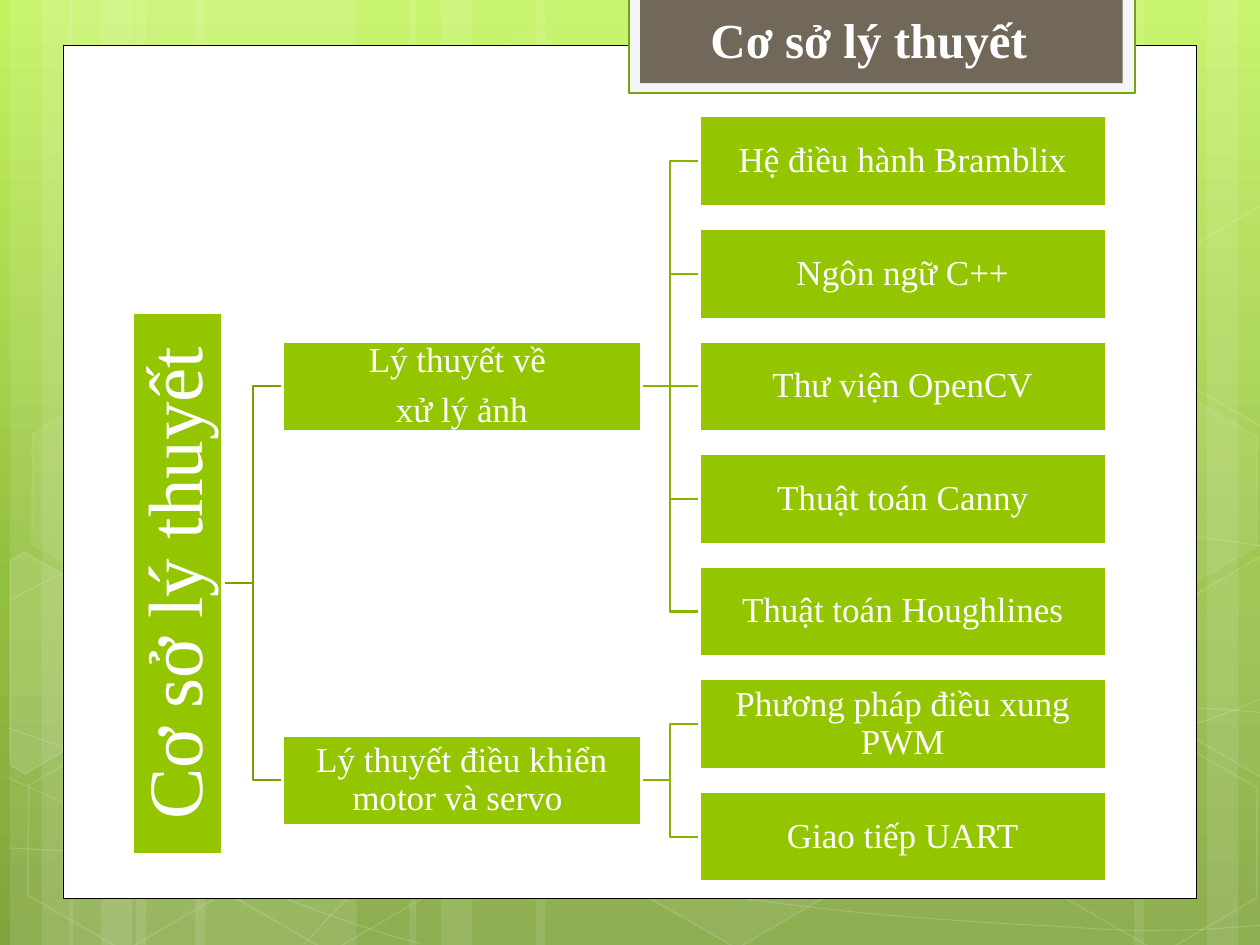
from dataclasses import dataclass
from math import cos, radians, sin
from typing import NamedTuple, Optional

from pptx import Presentation
from pptx import util as u
from pptx.dml.color import RGBColor
from pptx.enum import shapes, text
from pptx.oxml import parse_xml
from pptx.oxml.ns import nsdecls, qn


@dataclass(frozen=True)
class Theme:
    white: str = "FFFFFF"
    black: str = "000000"
    box: str = "94C600"
    trunk: str = "779F00"
    twig: str = "86B400"
    tab: str = "71685A"
    trim: str = "F5F5F5"
    edge: str = "74A510"
    sky: tuple = ((0, "C3F35F"), (62, "93BF3F"), (100, "81A53E"))
    font: str = "Times New Roman"
    small: int = 20
    head: int = 28
    large: int = 44


class Branch(NamedTuple):
    label: str
    leaves: tuple


class Hex(NamedTuple):
    left: float
    top: float
    fill: Optional[int]
    line: int


class Patch(NamedTuple):
    hub: tuple
    points: tuple
    fill: Optional[int]


T = Theme()
RECT = shapes.MSO_SHAPE.RECTANGLE
TILT = 30

# Faint vertical bands: left edge, width
BANDS = ((1.08, 1.75), (0.08, 0.5), (0.33, 0.83), (1.55, 1.75), (0.55, 0.5), (0.8, 0.83),
         (7.33, 1.75), (9.58, 0.5), (9, 0.83), (4.25, 3.08), (3.25, 0.5), (3.5, 0.83))

# Bezier curves: start, then two handles and an end for each piece
CURVES = (
    ((0.07, 6.73), (0.61, 6.76), (1.15, 6.79), (1.9, 6.78), (2.65, 6.77), (3.58, 6.75),
     (4.58, 6.65), (5.58, 6.55), (7, 6.36), (7.92, 6.17), (8.83, 5.98), (9.77, 5.68),
     (10.07, 5.51)),
    ((0.07, 4.77), (0.36, 4.61), (0.65, 4.46), (1.21, 4.31), (1.78, 4.16), (2.59, 3.94),
     (3.47, 3.87), (4.36, 3.8), (5.44, 3.79), (6.54, 3.87), (7.64, 3.95), (9.47, 4.26),
     (10.07, 4.34)),
    ((0.06, 6.17), (1.27, 6.72), (2.47, 7.27), (3.34, 7.49)),
    ((0.07, 5.78), (0.38, 5.89), (0.7, 6), (1.28, 6.16), (1.86, 6.31), (2.73, 6.56),
     (3.57, 6.73), (4.4, 6.9), (5.45, 7.08), (6.28, 7.18), (7.11, 7.29), (8, 7.33),
     (8.53, 7.36), (9.05, 7.4), (9.19, 7.38), (9.45, 7.38), (9.71, 7.37), (9.89, 7.35),
     (10.07, 7.34)),
    ((2.42, 7.49), (2.6, 7.29), (2.78, 7.09), (3.02, 6.91), (3.26, 6.73), (3.6, 6.53),
     (3.88, 6.39), (4.16, 6.25), (4.33, 6.19), (4.7, 6.09), (5.06, 5.99), (5.73, 5.85),
     (6.08, 5.78), (6.44, 5.71), (6.49, 5.71), (6.8, 5.69), (7.11, 5.66), (7.6, 5.63),
     (7.94, 5.62), (8.29, 5.61), (8.86, 5.62), (8.86, 5.62), (9.08, 5.62), (9.31, 5.62),
     (9.53, 5.62), (9.71, 5.63), (9.88, 5.64), (10.06, 5.66)),
)

HEXES = (Hex(3.34, 0.36, 4, 8), Hex(4.97, 5.89, 6, 12), Hex(0.11, 5.91, None, 12),
         Hex(0.14, 3.12, 7, 8), Hex(1.74, 5.92, None, 12), Hex(7.53, 4.53, 10, 12),
         Hex(8.34, 5.93, None, 12), Hex(8.34, 3.14, 7, 8))

# Tilted hexagons cut off by the slide's edge, as they stand after the turn
PATCHES = (
    Patch((0.36, 5.35), ((0.08, 4.45), (0.19, 4.38), (0.96, 4.82), (0.95, 5.7), (0.2, 6.14),
                         (0.08, 6.07)), 10),
    Patch((9.85, 5.2), ((9.26, 4.85), (10.01, 4.41), (10.09, 4.46), (10.09, 6.13),
                        (10.02, 6.17), (9.26, 5.73)), 4),
    Patch((9.85, 2.41), ((9.26, 2.07), (10.01, 1.63), (10.1, 1.68), (10.09, 3.35),
                         (10.02, 3.39), (9.26, 2.95)), None),
)

TITLE = "Cơ sở lý thuyết"
TREE = (
    Branch("Lý thuyết về \nxử lý ảnh",
           ("Hệ điều hành Bramblix", "Ngôn ngữ C++", "Thư viện OpenCV",
            "Thuật toán Canny", "Thuật toán Houghlines")),
    Branch("Lý thuyết điều khiển motor và servo ",
           ("Phương pháp điều xung PWM", "Giao tiếp UART")),
)
TALL, ROOT_H = 0.72, 4.3
FIRST, LAST = 0.92, 6.28
STEP = (LAST - FIRST) / (sum(len(b.leaves) for b in TREE) - 1)


def fade(paint, alpha: int) -> None:
    """Make a solid white fill or line see-through; alpha in percent."""
    paint.solid()
    paint.fore_color.rgb = RGBColor.from_string(T.white)
    tint = paint._xPr.find(qn("a:solidFill"))[0]
    tint.append(parse_xml(f'<a:alpha {nsdecls("a")} val="{alpha * 1000}"/>'))


def ghost(item, fill: Optional[int] = None, line: Optional[int] = None, width: float = 1) -> None:
    item.shadow.inherit = False
    if fill is None:
        item.fill.background()
    else:
        fade(item.fill, fill)
    if line is None:
        item.line.fill.background()
    else:
        item.line.width = u.Pt(width)
        fade(item.line.fill, line)


def block(page, left: float, top: float, wide: float, tall: float, fill: str,
          line: Optional[str] = None, width: float = 1):
    item = page.shapes.add_shape(RECT, *map(u.Inches, (left, top, wide, tall)))
    item.shadow.inherit = False
    item.fill.solid()
    item.fill.fore_color.rgb = RGBColor.from_string(fill)
    if line:
        item.line.color.rgb = RGBColor.from_string(line)
        item.line.width = u.Pt(width)
    else:
        item.line.fill.background()
    return item


def write(item, words: str, *, size: int, bold: bool = False, align=text.PP_ALIGN.CENTER,
          anchor=text.MSO_ANCHOR.MIDDLE, inset: Optional[float] = 0.01,
          lead: float = 0.9, after: float = 0) -> None:
    frame = item.text_frame
    frame.word_wrap = True
    frame.vertical_anchor = anchor
    if inset is not None:
        frame.margin_left = frame.margin_right = u.Inches(inset)
        frame.margin_top = frame.margin_bottom = u.Inches(inset)
    frame.text = words
    for para in frame.paragraphs:
        para.alignment, para.line_spacing, para.space_after = align, lead, u.Pt(after)
        font = para.runs[0].font
        font.name, font.size, font.bold = T.font, u.Pt(size), bold
        font.color.rgb = RGBColor.from_string(T.white)


def trace(page, points, close: bool):
    spots = [(u.Inches(x), u.Inches(y)) for x, y in points]
    path = page.shapes.build_freeform(*spots[0])
    path.add_line_segments(spots[1:], close=close)
    return path.convert_to_shape()


def bend(item) -> None:
    """Turn each three straight pieces into one cubic Bezier piece."""
    legs = list(item.element.iter(qn("a:lnTo")))
    for i in range(0, len(legs), 3):
        curve = parse_xml(f'<a:cubicBezTo {nsdecls("a")}/>')
        legs[i].addprevious(curve)
        for leg in legs[i:i + 3]:
            curve.append(leg[0])
            leg.getparent().remove(leg)


def turn(point: tuple, hub: tuple, angle: float) -> tuple:
    x, y, a = point[0] - hub[0], point[1] - hub[1], radians(angle)
    return hub[0] + x * cos(a) - y * sin(a), hub[1] + x * sin(a) + y * cos(a)


def node(page, left: float, top: float, wide: float, words: str, tall: float = TALL,
         size: int = T.small, after: float = 7):
    item = block(page, left, top, wide, tall, T.box, T.white, 1.75)
    write(item, words, size=size, after=after)
    return item


def join(page, start, end, tint: str, under) -> None:
    """Link right side to left side, keeping the line below the boxes."""
    kind = shapes.MSO_CONNECTOR
    level = abs(start.top + start.height / 2 - end.top - end.height / 2) < u.Inches(0.02)
    wire = page.shapes.add_connector(kind.STRAIGHT if level else kind.ELBOW, 0, 0, 0, 0)
    wire.begin_connect(start, 3)
    wire.end_connect(end, 1)
    wire.line.color.rgb = RGBColor.from_string(tint)
    wire.line.width = u.Pt(1.25)
    wire.element.spPr.append(parse_xml(f'<a:effectLst {nsdecls("a")}/>'))
    under.element.addprevious(wire.element)


def scene(page) -> None:
    # Gradient
    fill = page.background.fill
    fill.gradient()
    fill.gradient_angle = 270
    stops = page.element.find(".//" + qn("a:gsLst"))
    for stop in list(stops):
        stops.remove(stop)
    for pos, tint in T.sky:
        stops.append(parse_xml(f'<a:gs {nsdecls("a")} pos="{pos * 1000}">'
                               f'<a:srgbClr val="{tint}"/></a:gs>'))
    # Bands, curves and hexagons
    for left, wide in BANDS:
        ghost(block(page, left, 0, wide, 7.5, T.white), fill=10)
    for knots in CURVES:
        item = trace(page, knots, False)
        bend(item)
        ghost(item, line=20, width=0.5)
    for cell in HEXES:
        item = page.shapes.add_shape(shapes.MSO_SHAPE.HEXAGON, *map(
            u.Inches, (cell.left, cell.top, 1.75, 1.52)))
        item.adjustments[0] = 0.285
        item.rotation = TILT
        ghost(item, cell.fill, cell.line)
    for patch in PATCHES:
        item = trace(page, [turn(p, patch.hub, -TILT) for p in patch.points], True)
        item.rotation = TILT
        ghost(item, patch.fill, 12)


def chart(page) -> None:
    mid = FIRST + 0.5 * STEP * (len(TREE[0].leaves) - 1)
    low = FIRST + STEP * (len(TREE[0].leaves) + 0.5 * (len(TREE[1].leaves) - 1))
    top = (mid + low + TALL - ROOT_H) / 2
    root = node(page, 1.05, top, TALL, TITLE, tall=ROOT_H, size=T.large, after=0)
    root.text_frame._txBody.bodyPr.set("vert", "vert270")
    row = 0
    for branch, rise in zip(TREE, (mid, low)):
        stem = node(page, 2.24, rise, 2.85, branch.label)
        join(page, root, stem, T.trunk, root)
        for label in branch.leaves:
            leaf = node(page, 5.55, FIRST + row * STEP, 3.23, label)
            join(page, stem, leaf, T.twig, root)
            row += 1


def main() -> None:
    deck = Presentation()
    deck.slide_width, deck.slide_height = u.Inches(10), u.Inches(7.5)
    page = deck.slides.add_slide(deck.slide_layouts[6])
    scene(page)
    # Panel and title tab
    block(page, 0.5, 0.36, 9, 6.77, T.white, T.black, 0.5)
    block(page, 4.99, -0.02, 4.02, 0.76, T.trim, T.edge, 1.25)
    block(page, 5.08, -0.02, 3.83, 0.68, T.tab)
    title = page.shapes.add_textbox(*map(u.Inches, (5.54, 0.17, 3.05, 0.42)))
    write(title, TITLE, size=T.head, bold=True, align=text.PP_ALIGN.LEFT,
          anchor=text.MSO_ANCHOR.BOTTOM, inset=None, lead=1.0)
    chart(page)
    deck.save("out.pptx")


if __name__ == "__main__":
    main()
